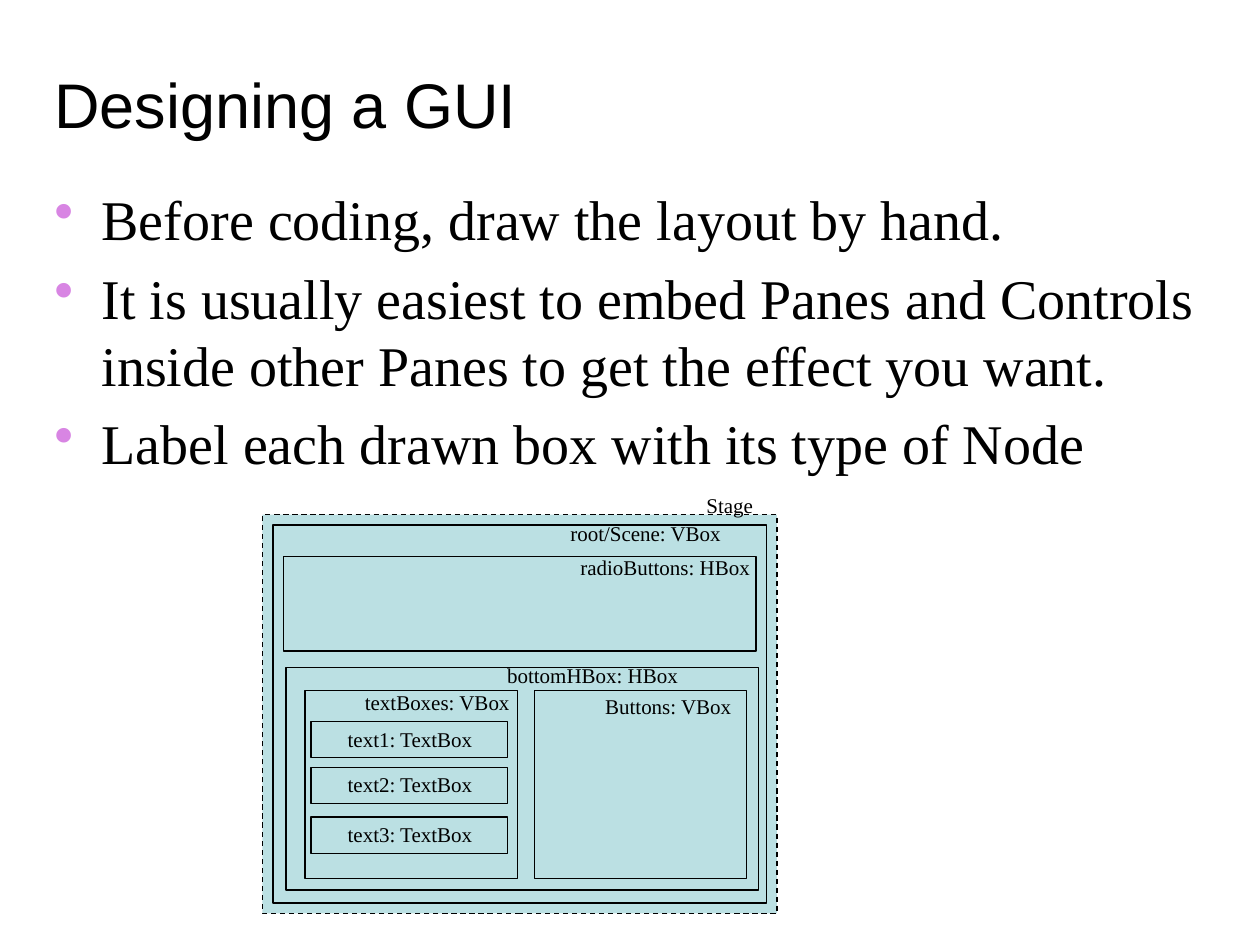
from lxml.etree import SubElement
from pptx import Presentation
from pptx.dml.color import RGBColor
from pptx.enum.dml import MSO_LINE_DASH_STYLE as Dash
from pptx.enum.shapes import MSO_SHAPE as Shape
from pptx.enum.text import MSO_ANCHOR as Anchor, MSO_AUTO_SIZE as AutoSize, PP_ALIGN as Align
from pptx.oxml.ns import qn
from pptx.util import Pt

COLORS = {"ink": "000000", "pane": "BBE0E3", "bullet": "D885E3"}
TITLE = {"name": "Arial", "size": Pt(36)}
BODY = {"name": "Times New Roman", "size": Pt(32)}
LABEL = {"name": "Times New Roman", "size": Pt(12)}

POINTS = [
    "Before coding, draw the layout by hand.",
    "It is usually easiest to embed Panes and Controls inside other Panes to get the effect you want.",
    "Label each drawn box with its type of Node",
]
NODES = [
    ("Stage", (150, 294, 294, 228), (396, 278, 42), Dash.DASH),
    ("root/Scene: VBox", (156, 300, 282, 216), (318.2, 294, 101.5), None),
    ("radioButtons: HBox", (162, 318, 270, 54), (324, 313.2, 112.3), None),
    ("bottomHBox: HBox", (163.4, 381.5, 270, 127.2), (282.2, 375, 113), None),
    ("textBoxes: VBox", (174.4, 394.7, 121.2, 107.2), (200.9, 390.4, 98), None),
    ("Buttons: VBox", (305.4, 394.7, 121.2, 107.2), (338.4, 392.6, 87), None),
]
FIELD_TOPS = [412.4, 438.6, 466.9]


class SlideBuilder:
    """Adds styled titles, bullets and labelled panes to one slide."""

    def __init__(self, slide, colors):
        self.slide = slide
        self.colors = {key: RGBColor.from_string(value) for key, value in colors.items()}

    def text(self, lines, bounds, font, frame_format, paragraph_format):
        box = self.slide.shapes.add_textbox(*map(Pt, bounds))
        frame = box.text_frame
        for key, value in frame_format.items():
            setattr(frame, key, value)
        frame.text = "\n".join(lines)
        for paragraph in frame.paragraphs:
            for key, value in paragraph_format.items():
                setattr(paragraph, key, value)
            for key, value in font.items():
                setattr(paragraph.runs[0].font, key, value)
            paragraph.runs[0].font.color.rgb = self.colors["ink"]
        return frame

    def title(self, heading, bounds):
        self.text([heading], bounds, TITLE, {"word_wrap": True, "vertical_anchor": Anchor.BOTTOM}, {})

    def bullets(self, lines, bounds):
        frame = self.text(lines, bounds, BODY, {"word_wrap": True, "margin_right": 0},
                          {"space_before": Pt(6.4)})
        for paragraph in frame.paragraphs:
            properties = paragraph._p.get_or_add_pPr()
            properties.set("marL", str(Pt(27)))
            properties.set("indent", str(Pt(-27)))
            color = SubElement(properties, qn("a:buClr"))
            SubElement(color, qn("a:srgbClr"), val=str(self.colors["bullet"]))
            SubElement(properties, qn("a:buChar"), char="•")

    def pane(self, label, bounds, label_at, dash=None):
        pane = self.slide.shapes.add_shape(Shape.RECTANGLE, *map(Pt, bounds))
        pane.shadow.inherit = False
        pane.fill.solid()
        pane.fill.fore_color.rgb = self.colors["pane"]
        pane.line.color.rgb = self.colors["ink"]
        for key, value in {"width": Pt(0.75), "dash_style": dash}.items():
            setattr(pane.line, key, value)
        self.text([label], (*label_at, 21.6), LABEL,
                  {"word_wrap": False, "auto_size": AutoSize.SHAPE_TO_FIT_TEXT},
                  {"alignment": Align.CENTER})


def main():
    deck = Presentation()
    deck.slide_width, deck.slide_height = Pt(720), Pt(540)
    builder = SlideBuilder(deck.slides.add_slide(deck.slide_layouts[6]), COLORS)
    builder.title("Designing a GUI", (24, 6, 678, 78))
    builder.bullets(POINTS, (24, 102, 680.4, 192))
    for node in NODES:
        builder.pane(*node)
    for number, top in enumerate(FIELD_TOPS, 1):
        builder.pane(f"text{number}: TextBox", (177.7, top, 112.4, 20.7), (190.8, top - 1, 87))
    deck.save("out.pptx")


if __name__ == "__main__":
    main()
